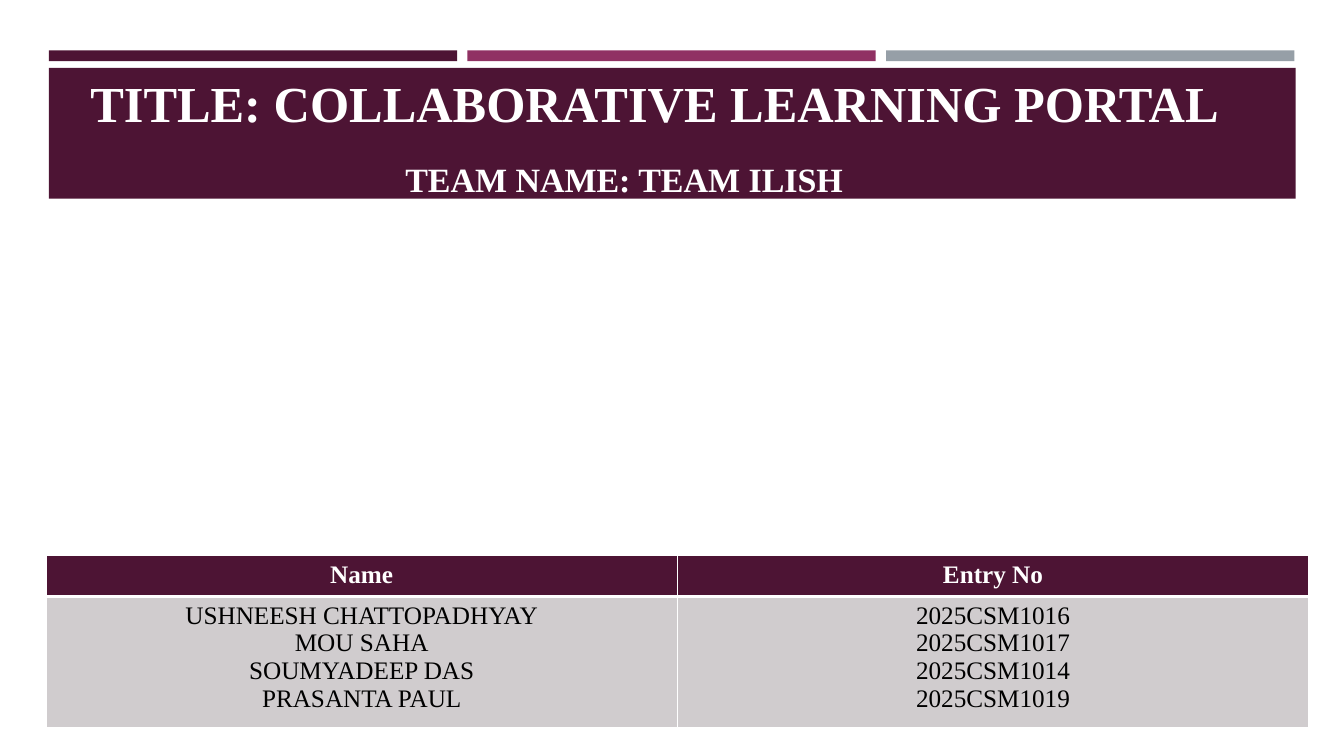
from dataclasses import dataclass

from lxml.etree import SubElement
from pptx import Presentation
from pptx.dml.color import RGBColor
from pptx.enum.shapes import MSO_SHAPE as Preset
from pptx.enum.text import PP_ALIGN as Align
from pptx.oxml.ns import qn
from pptx.slide import Slide
from pptx.table import _Cell as Cell
from pptx.text.text import _Paragraph as Paragraph
from pptx.util import Cm, Pt


@dataclass(frozen=True)
class Theme:
    font: str = "Times New Roman"
    plum: str = "4D1434"
    magenta: str = "903163"
    slate: str = "969FA7"
    cell: str = "D0CCCE"
    white: str = "FFFFFF"
    black: str = "000000"
    title_size: float = 36
    team_size: float = 24.3
    table_size: float = 18


@dataclass(frozen=True)
class Box:
    """Position and size in centimetres."""
    left: float
    top: float
    width: float
    height: float

    def lengths(self) -> tuple[Cm, Cm, Cm, Cm]:
        return Cm(self.left), Cm(self.top), Cm(self.width), Cm(self.height)


@dataclass(frozen=True)
class Block:
    box: Box
    color: str


@dataclass(frozen=True)
class Heading:
    box: Box
    text: str
    size: float


@dataclass(frozen=True)
class Member:
    name: str
    entry: str


THEME = Theme()
LEFT, BAR_WIDTH, BAR_PITCH = 1.23, 10.29, 10.55

BLOCKS = [
    Block(Box(LEFT + index * BAR_PITCH, 1.27, BAR_WIDTH, 0.27), color)
    for index, color in enumerate((THEME.plum, THEME.magenta, THEME.slate))
] + [Block(Box(LEFT, 1.71, 31.42, 3.3), THEME.plum)]

HEADINGS = [
    Heading(Box(1.9, 1.82, 29.21, 1.45),
            "TITLE: COLLABORATIVE LEARNING PORTAL", THEME.title_size),
    Heading(Box(1.9, 4.0, 27.66, 0.95), "TEAM NAME: TEAM ILISH", THEME.team_size),
]

MEMBERS = [
    Member("USHNEESH CHATTOPADHYAY", "2025CSM1016"),
    Member("MOU SAHA", "2025CSM1017"),
    Member("SOUMYADEEP DAS", "2025CSM1014"),
    Member("PRASANTA PAUL", "2025CSM1019"),
]
HEADER_HEIGHT, BODY_HEIGHT = 1.03, 3.05
TABLE_BOX = Box(1.16, 14.0, 31.82, HEADER_HEIGHT + BODY_HEIGHT)


def write(paragraph: Paragraph, text: str, size: float, color: str, bold: bool) -> None:
    paragraph.alignment = Align.CENTER
    run = paragraph.add_run()
    run.text = text
    run.font.name = THEME.font
    run.font.size = Pt(size)
    run.font.bold = bold
    run.font.color.rgb = RGBColor.from_string(color)


def draw_block(slide: Slide, block: Block) -> None:
    shape = slide.shapes.add_shape(Preset.RECTANGLE, *block.box.lengths())
    shape.shadow.inherit = False
    shape.fill.solid()
    shape.fill.fore_color.rgb = RGBColor.from_string(block.color)
    shape.line.fill.background()


def draw_heading(slide: Slide, heading: Heading) -> None:
    frame = slide.shapes.add_textbox(*heading.box.lengths()).text_frame
    frame.word_wrap = True
    frame.margin_left = frame.margin_right = frame.margin_top = frame.margin_bottom = 0
    write(frame.paragraphs[0], heading.text, heading.size, THEME.white, True)


def set_borders(cell: Cell, top: float, bottom: float) -> None:
    properties = cell._tc.get_or_add_tcPr()
    widths = {"a:lnL": 1, "a:lnR": 1, "a:lnT": top, "a:lnB": bottom}
    for tag, width in widths.items():
        line = SubElement(properties, qn(tag), w=str(Pt(width)))
        SubElement(SubElement(line, qn("a:solidFill")), qn("a:srgbClr"), val=THEME.white)


def fill_cell(cell: Cell, lines: list[str], header: bool) -> None:
    # Borders come before the fill in the cell properties
    set_borders(cell, top=1 if header else 3, bottom=3 if header else 1)
    cell.fill.solid()
    cell.fill.fore_color.rgb = RGBColor.from_string(THEME.plum if header else THEME.cell)
    frame = cell.text_frame
    for index, text in enumerate(lines):
        paragraph = frame.add_paragraph() if index else frame.paragraphs[0]
        write(paragraph, text, THEME.table_size,
              THEME.white if header else THEME.black, header)


def draw_members(slide: Slide, members: list[Member]) -> None:
    table = slide.shapes.add_table(2, 2, *TABLE_BOX.lengths()).table
    table.rows[0].height = Cm(HEADER_HEIGHT)
    table.rows[1].height = Cm(BODY_HEIGHT)
    columns = {
        "Name": [member.name for member in members],
        "Entry No": [member.entry for member in members],
    }
    for index, (label, lines) in enumerate(columns.items()):
        fill_cell(table.cell(0, index), [label], True)
        fill_cell(table.cell(1, index), lines, False)


def main() -> None:
    presentation = Presentation()
    presentation.slide_width, presentation.slide_height = Cm(33.87), Cm(19.05)
    slide = presentation.slides.add_slide(presentation.slide_layouts[6])

    # Accent bars and title band
    for block in BLOCKS:
        draw_block(slide, block)

    # Project title and team name
    for heading in HEADINGS:
        draw_heading(slide, heading)

    # Team members
    draw_members(slide, MEMBERS)
    presentation.save("out.pptx")


if __name__ == "__main__":
    main()
